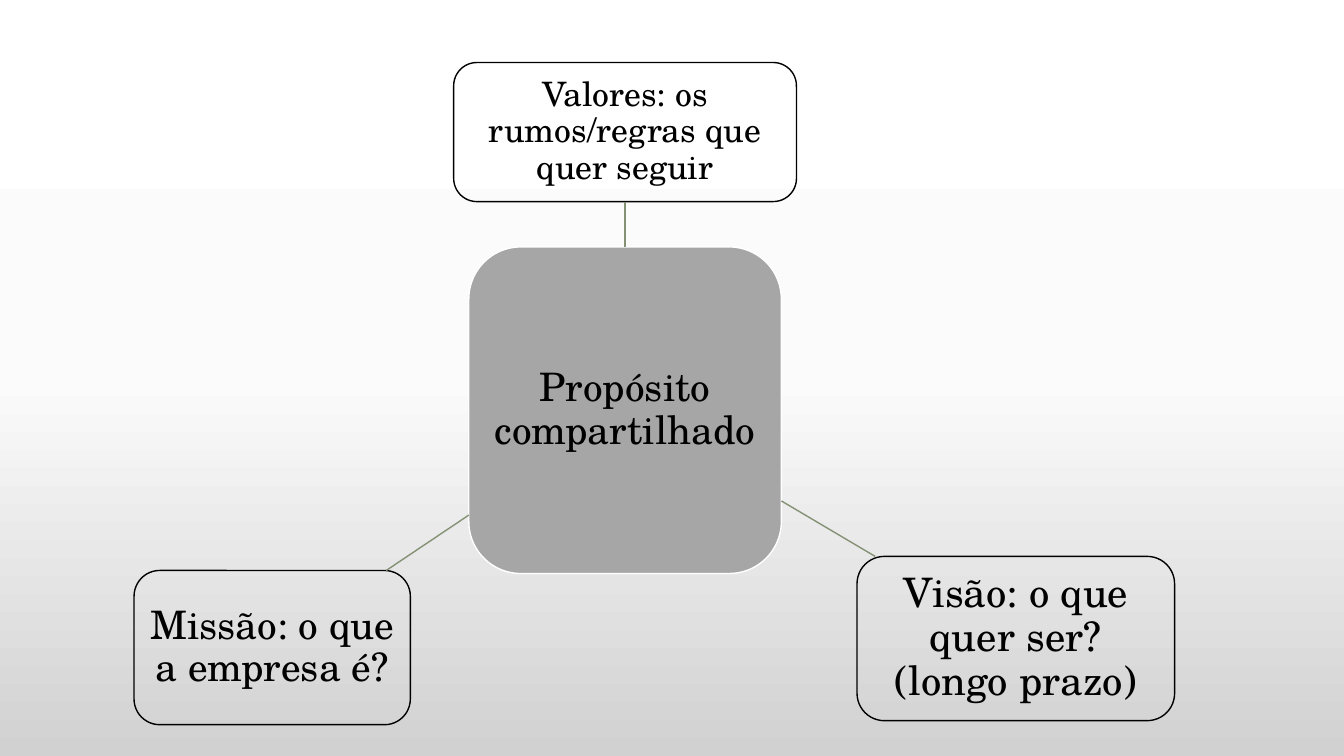
from lxml.etree import SubElement
from pptx import Presentation
from pptx.dml.color import RGBColor
from pptx.enum.shapes import MSO_CONNECTOR as CONNECTOR, MSO_SHAPE as SHAPE
from pptx.enum.text import MSO_ANCHOR as ANCHOR, PP_ALIGN as ALIGN
from pptx.oxml.ns import qn
from pptx.util import Inches, Pt

FONT = "TeX Gyre Schola"
BLACK, WHITE, GRAY, OLIVE = "000000", "FFFFFF", "A6A6A6", "849175"
BACKGROUND_STOPS = [(0, WHITE), (50, "FBFBFB"), (100, "D1D1D1")]
TOP, BOTTOM = 0, 2


def color(hex_text):
    return RGBColor.from_string(hex_text)


def paint_background(slide, stops):
    fill = slide.background.fill
    fill.gradient()
    fill.gradient_angle = 270  # counter-clockwise, so top to bottom
    stop_list = slide.element.find(".//" + qn("a:gsLst"))
    for old_stop in list(stop_list):
        stop_list.remove(old_stop)
    for percent, hex_text in stops:
        stop = SubElement(stop_list, qn("a:gs"), pos=str(percent * 1000))
        SubElement(stop, qn("a:srgbClr"), val=hex_text)


def add_box(slide, place, text, size, fill=None, line=BLACK):
    box = slide.shapes.add_shape(SHAPE.ROUNDED_RECTANGLE, *map(Inches, place))
    box.shadow.inherit = False
    if fill:
        box.fill.solid()
        box.fill.fore_color.rgb = color(fill)
    else:
        box.fill.background()
    box.line.color.rgb = color(line)
    box.line.width = Pt(1)

    # The rounded corners already inset the text, so margins stay small
    frame = box.text_frame
    frame.word_wrap = True
    frame.vertical_anchor = ANCHOR.MIDDLE
    frame.margin_left = frame.margin_right = Inches(0.07)
    frame.margin_top = frame.margin_bottom = Inches(0.07)
    paragraph = frame.paragraphs[0]
    paragraph.alignment = ALIGN.CENTER
    paragraph.line_spacing = 0.9
    run = paragraph.add_run()
    run.text = text
    run.font.name = FONT
    run.font.size = Pt(size)
    run.font.color.rgb = color(BLACK)
    return box


def add_spoke(slide, start, end):
    spoke = slide.shapes.add_connector(
        CONNECTOR.STRAIGHT, *map(Inches, start + end))
    spoke.line.color.rgb = color(OLIVE)
    spoke.line.width = Pt(1)
    SubElement(spoke.element.spPr, qn("a:effectLst"))
    return spoke


def main():
    deck = Presentation()
    deck.slide_width, deck.slide_height = Inches(13.33), Inches(7.5)
    slide = deck.slides.add_slide(deck.slide_layouts[6])
    paint_background(slide, BACKGROUND_STOPS)

    # Shared purpose in the centre
    purpose = add_box(slide, (4.65, 2.45, 3.1, 3.24),
                      "Propósito compartilhado", 28, GRAY, WHITE)

    # Values, vision and mission around it
    values = add_box(slide, (4.5, 0.62, 3.4, 1.38),
                     "Valores: os rumos/regras que quer seguir", 24)
    add_box(slide, (8.5, 5.52, 3.15, 1.63),
            "Visão: o que quer ser? (longo prazo)", 29)
    add_box(slide, (1.33, 5.66, 2.74, 1.53),
            "Missão: o que a empresa é?", 28)

    # Spokes from the centre
    values_spoke = add_spoke(slide, (6.2, 2.45), (6.2, 2))
    values_spoke.begin_connect(purpose, TOP)
    values_spoke.end_connect(values, BOTTOM)
    add_spoke(slide, (7.75, 4.97), (8.68, 5.52))
    add_spoke(slide, (4.65, 5.11), (3.83, 5.66))

    deck.save("out.pptx")


if __name__ == "__main__":
    main()
